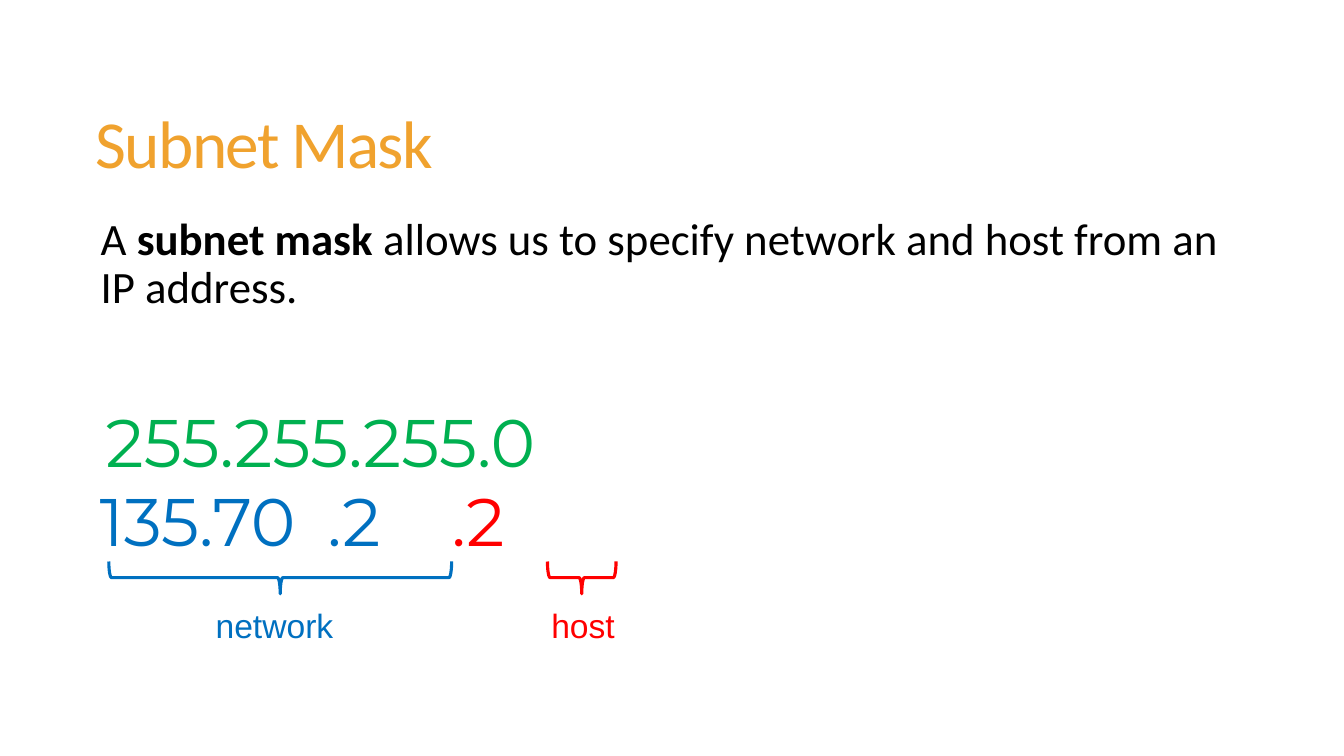
from dataclasses import dataclass
from pptx import Presentation
from pptx.dml.color import RGBColor
from pptx.enum.shapes import MSO_SHAPE as Shape
from pptx.enum.text import MSO_ANCHOR as Anchor, MSO_AUTO_SIZE as AutoSize
from pptx.oxml.xmlchemy import OxmlElement
from pptx.util import Inches, Pt


@dataclass(frozen=True)
class Theme:
    title: str = "F0A22E"
    body: str = "000000"
    mask: str = "00B050"
    network: str = "0070C0"
    host: str = "FF0000"
    text_font: str = "Calibri"
    address_font: str = "Montserrat"
    label_font: str = "Arial"
    large: int = 48
    medium: int = 32
    small: int = 24
    line: float = 2.25


theme = Theme()

# Content: runs are (text, colour, bold)
TITLE = [("Subnet Mask", theme.title, False)]
BODY = [
    ("A ", theme.body, False),
    ("subnet mask", theme.body, True),
    (" allows us to specify network and host from an IP address.", theme.body, False),
]
MASK = [("255.255.255.0", theme.mask, False)]
ADDRESS = [("135.70\t.2\t", theme.network, False), (".2", theme.host, False)]
ADDRESS_TABS = (2.26, 3.49)
# Address parts: label, colour, brace (left, width), label (left, width)
PARTS = [
    ("network", theme.network, (1.08, 3.4), (2.04, 1.38)),
    ("host", theme.host, (5.43, 0.68), (5.37, 0.97)),
]

# Rows and sizes in inches
SLIDE_SIZE = (13.33, 7.5)
MASK_TOP, ADDRESS_TOP, BRACE_TOP, LABEL_TOP = 3.92, 4.71, 5.57, 5.95
ADDRESS_SIZE = (5.63, 0.91)
BRACE_DEPTH, LABEL_HEIGHT = 0.32, 0.5

deck = Presentation()
deck.slide_width, deck.slide_height = map(Inches, SLIDE_SIZE)
page = deck.slides.add_slide(deck.slide_layouts[6])


def add_text(place, runs, font, size, grow=False):
    box = page.shapes.add_textbox(*map(Inches, place))
    frame = box.text_frame
    frame.word_wrap = True
    frame.auto_size = AutoSize.SHAPE_TO_FIT_TEXT if grow else AutoSize.NONE
    para = frame.paragraphs[0]
    for text, colour, bold in runs:
        span = para.add_run()
        span.text = text
        span.font.name, span.font.size, span.font.bold = font, Pt(size), bold
        span.font.color.rgb = RGBColor.from_string(colour)
    return frame, para


def add_tabs(para, stops):
    tabs = OxmlElement("a:tabLst")
    for stop in stops:
        tab = OxmlElement("a:tab")
        tab.set("pos", str(Inches(stop)))
        tab.set("algn", "l")
        tabs.append(tab)
    para._p.get_or_add_pPr().append(tabs)


def add_brace(left, width, colour):
    # The upright brace is turned about its centre to point down
    shift = (width - BRACE_DEPTH) / 2
    place = (left + shift, BRACE_TOP - shift, BRACE_DEPTH, width)
    brace = page.shapes.add_shape(Shape.LEFT_BRACE, *map(Inches, place))
    brace.rotation = 270
    brace.shadow.inherit = False
    brace.fill.background()
    brace.line.color.rgb = RGBColor.from_string(colour)
    brace.line.width = Pt(theme.line)


# Title
frame, para = add_text((0.85, 0.55, 9.94, 1.81), TITLE, theme.text_font, theme.large)
frame.vertical_anchor = Anchor.MIDDLE
para.line_spacing = 0.9
para.runs[0].font._element.set("spc", "-120")

# Definition
frame, para = add_text((0.65, 2.1, 11.59, 4.79), BODY, theme.text_font, theme.medium)
para.line_spacing, para.space_before = 0.9, Pt(13)
para._p.get_or_add_pPr().set("marL", str(Inches(0.25)))

# Address and mask
frame, para = add_text((0.89, ADDRESS_TOP, *ADDRESS_SIZE), ADDRESS,
                       theme.address_font, theme.large, grow=True)
add_tabs(para, ADDRESS_TABS)
add_text((0.95, MASK_TOP, *ADDRESS_SIZE), MASK,
         theme.address_font, theme.large, grow=True)

# Braces and their labels
for name, colour, brace_span, (left, width) in PARTS:
    add_brace(*brace_span, colour)
    add_text((left, LABEL_TOP, width, LABEL_HEIGHT), [(name, colour, False)],
             theme.label_font, theme.small, grow=True)

deck.save("out.pptx")
